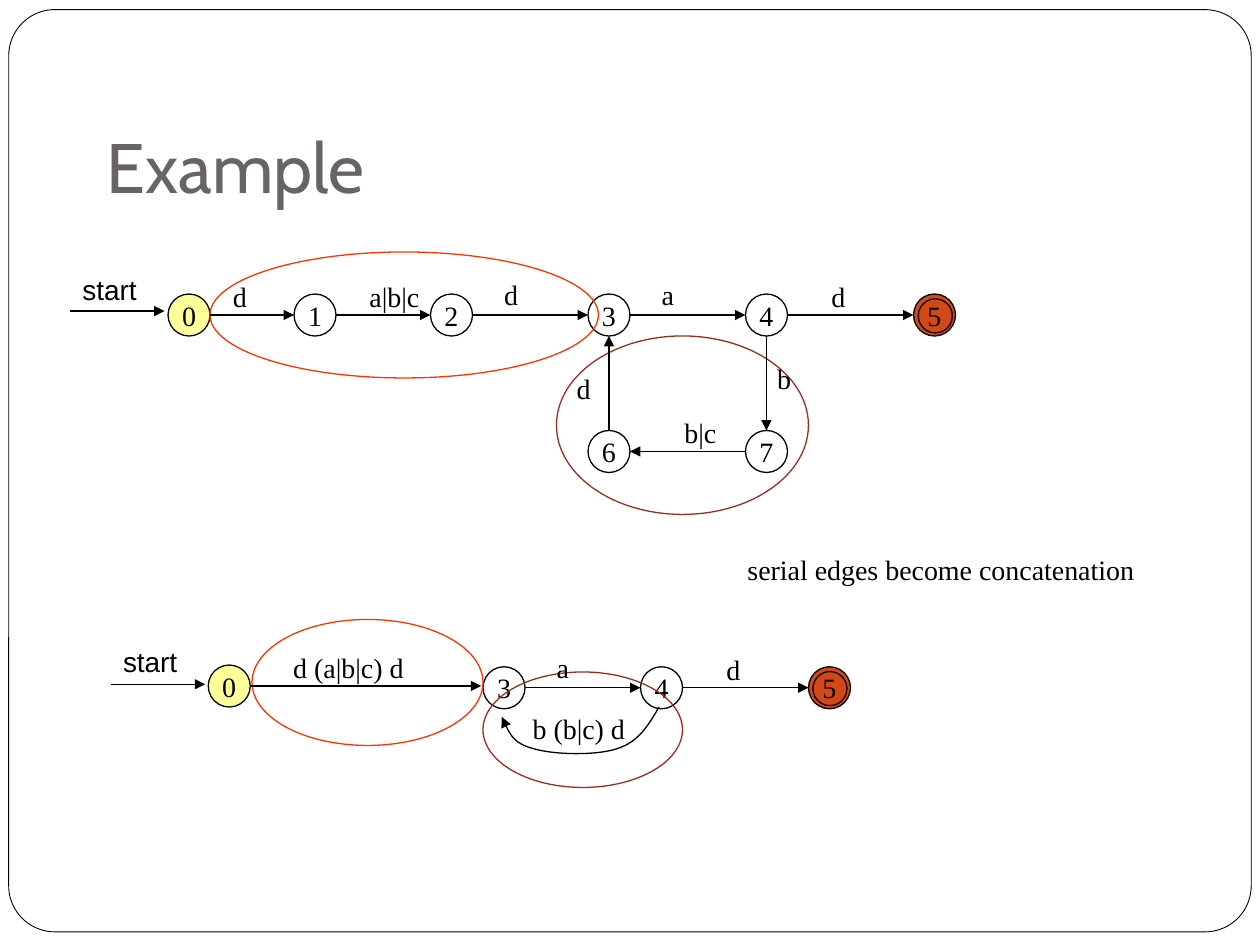
"""Build the slide that folds serial edges of an automaton into concatenations."""
import lxml.etree
import pptx
import pptx.dml.color
import pptx.enum.shapes
import pptx.enum.text
import pptx.oxml.ns
import pptx.util

Pt = pptx.util.Pt
KIND = pptx.enum.shapes.MSO_SHAPE
ANCHOR = pptx.enum.text.MSO_ANCHOR
ALIGN = pptx.enum.text.PP_ALIGN
FIT = pptx.enum.text.MSO_AUTO_SIZE
qn = pptx.oxml.ns.qn

BLACK, WHITE, YELLOW, RUST = "000000", "FFFFFF", "FFFF99", "D34817"
RED, MAROON = "FF3300", "9B2D1F"
SERIF = {"name": "Times New Roman", "size": Pt(16)}
SANS = {"name": "Arial", "size": Pt(16)}
HEADING = {"name": "Cabin", "size": Pt(40)}
NODE = 24


def paint(target, color):
    """Give a fill, or take it away when there is no colour."""
    if color is None:
        target.background()
    else:
        target.solid()
        target.fore_color.rgb = pptx.dml.color.RGBColor.from_string(color)


def write(box, text, font, color, frame_format, align=ALIGN.LEFT):
    """Put one formatted line of text in a box."""
    for name, value in frame_format.items():
        setattr(box.text_frame, name, value)
    para = box.text_frame.paragraphs[0]
    para.alignment = align
    span = para.add_run()
    span.text = text
    for name, value in font.items():
        setattr(span.font, name, value)
    paint(span.font.fill, color)


deck = pptx.Presentation()
deck.slide_width, deck.slide_height = Pt(720), Pt(540)
page = deck.slides.add_slide(deck.slide_layouts[6])
shapes = page.shapes

border = shapes.add_shape(KIND.ROUNDED_RECTANGLE, Pt(5), Pt(5.5), Pt(710), Pt(527))
border.adjustments[0] = 0.05
border.shadow.inherit = False
paint(border.fill, WHITE)
paint(border.line.fill, BLACK)
border.line.width = Pt(0.5)

title = shapes.add_textbox(Pt(54), Pt(36), Pt(612), Pt(90))
title_format = {"word_wrap": True, "vertical_anchor": ANCHOR.BOTTOM, "margin_bottom": Pt(7.2)}
write(title, "Example", HEADING, "696464", title_format)

nodes = [
    ("0", 96, 168, YELLOW), ("1", 168, 168, None), ("2", 246, 168, None),
    ("3", 336, 168, None), ("4", 426, 168, None), ("5", 522, 168, RUST),
    ("6", 336, 246, None), ("7", 426, 246, None),
    ("0", 119, 380, YELLOW), ("3", 276, 381, None), ("4", 366, 381, None),
    ("5", 462, 381, RUST),
]
ovals = [(x, y, NODE, NODE, fill, BLACK, name) for name, x, y, fill in nodes]
ovals += [
    (524.75, 170.75, 19.5, 19.5, None, BLACK, ""),
    (464.5, 383.75, 19.5, 19.5, None, BLACK, ""),
    (120, 144, 222, 72, None, RED, ""),
    (318, 192, 144, 102, None, MAROON, ""),
    (144, 354, 132, 72, None, RED, ""),
    (276, 384, 114, 66, None, MAROON, ""),
]
for left, top, width, height, fill, line, name in ovals:
    oval = shapes.add_shape(KIND.OVAL, Pt(left), Pt(top), Pt(width), Pt(height))
    oval.shadow.inherit = False
    paint(oval.fill, fill)
    paint(oval.line.fill, line)
    oval.line.width = Pt(0.75)
    if name:
        node_format = {"word_wrap": False, "vertical_anchor": ANCHOR.MIDDLE}
        write(oval, name, SERIF, BLACK, node_format, ALIGN.CENTER)

arrows = []
edges = [
    (120, 180, 168, 180), (192, 180, 246, 180), (270, 180, 336, 180),
    (360, 180, 426, 180), (450, 180, 522, 180),
    (438, 192, 438, 246), (426, 258, 360, 258), (348, 246, 348, 192),
    (143, 392, 275, 392), (300, 393, 366, 393), (390, 393, 462, 393),
    (40, 177.75, 94, 177.75), (63.25, 391, 117.25, 391),
]
for edge in edges:
    arrow = shapes.add_connector(
        pptx.enum.shapes.MSO_CONNECTOR.STRAIGHT, *[Pt(value) for value in edge])
    lxml.etree.SubElement(arrow._element.spPr, qn("a:effectLst"))
    arrows.append(arrow)

curve = [
    (376.6, 404), (370.8, 414), (365, 424), (352.8, 427.8), (340.6, 432),
    (316, 431.3), (304.6, 427.8), (293.8, 424.8), (290.2, 417.6), (286.6, 409.7),
]
points = [(Pt(x), Pt(y)) for x, y in curve]
builder = shapes.build_freeform(*points[0])
builder.add_line_segments(points[1:], close=False)
loop = builder.convert_to_shape()
loop.shadow.inherit = False
paint(loop.fill, None)
segments = list(loop._element.iter(qn("a:lnTo")))
for start in range(0, len(segments), 3):
    bezier = lxml.etree.Element(qn("a:cubicBezTo"))
    segments[start].addprevious(bezier)
    for segment in segments[start:start + 3]:
        bezier.append(segment[0])
        segment.getparent().remove(segment)
arrows.append(loop)

for arrow in arrows:
    paint(arrow.line.fill, BLACK)
    arrow.line.width = Pt(0.75)
    lxml.etree.SubElement(arrow.line._get_or_add_ln(), qn("a:tailEnd"), type="triangle")

labels = [
    ("d", 126, 156.25, 22, SERIF), ("a|b|c", 204, 156.25, 43, SERIF),
    ("d", 281, 155, 22, SERIF), ("a", 371, 155, 21.5, SERIF),
    ("d", 468, 156.25, 22, SERIF), ("d", 322.5, 209, 22, SERIF),
    ("b", 437, 203, 22, SERIF), ("b|c", 384, 234, 33, SERIF),
    ("serial edges become concatenation", 420, 312, 237, SERIF),
    ("d (a|b|c) d", 160.5, 368, 78, SERIF), ("a", 311, 368, 21.5, SERIF),
    ("d", 408, 369.5, 22, SERIF), ("b (b|c) d", 297.25, 403, 68, SERIF),
    ("start", 40, 152, 50, SANS), ("start", 63.25, 365, 50, SANS),
]
for text, left, top, width, font in labels:
    label = shapes.add_textbox(Pt(left), Pt(top), Pt(width), Pt(26.6))
    label_format = {"word_wrap": False, "auto_size": FIT.SHAPE_TO_FIT_TEXT}
    write(label, text, font, BLACK, label_format)

deck.save("out.pptx")
